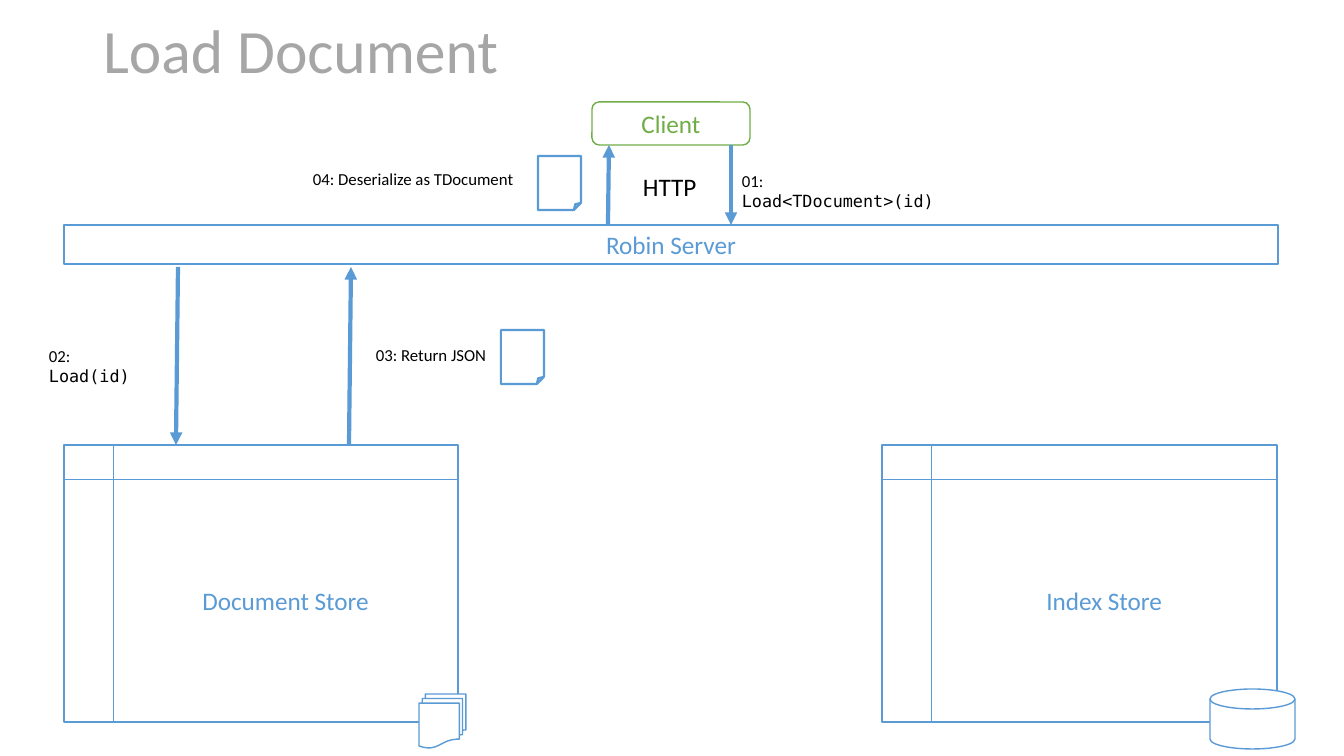
from lxml.etree import SubElement
from pptx import Presentation
from pptx.dml.color import RGBColor
from pptx.enum.shapes import MSO_CONNECTOR, MSO_SHAPE as SHAPE
from pptx.enum.text import MSO_ANCHOR, MSO_AUTO_SIZE as AUTO_SIZE, PP_ALIGN
from pptx.oxml.ns import qn
from pptx.util import Emu, Pt

PX = 914400 / 100.8
BLUE, GREEN, GREY, BLACK, WHITE = "5B9BD5", "70AD47", "A6A6A6", "000000", "FFFFFF"
SANS, MONO = "Calibri", "DejaVu Sans Mono"


def px(*lengths):
    return [Emu(round(n * PX)) for n in lengths]


def style_font(font, size, color, name=SANS):
    font.size, font.name = Pt(size), name
    font.color.rgb = RGBColor.from_string(color)


prs = Presentation()
prs.slide_width, prs.slide_height = px(1344, 756)
s = prs.slides.add_slide(prs.slide_layouts[5])

# Title
title = s.shapes.title
title.left, title.top, title.width, title.height = px(93, 23, 1159, 61)
tf = title.text_frame
tf.text = "Load Document"
tf.auto_size = AUTO_SIZE.NONE
tf.vertical_anchor = MSO_ANCHOR.MIDDLE
p = tf.paragraphs[0]
p.alignment, p.line_spacing = PP_ALIGN.LEFT, 0.9
style_font(p.font, 44, GREY)

# Boxes, stores and document icons
document_store = s.shapes.add_group_shape().shapes
index_store = s.shapes.add_group_shape().shapes
for parent, kind, box, text, color, weight in [
    (document_store, SHAPE.FLOWCHART_INTERNAL_STORAGE, (64, 445, 394, 277), "Document Store", BLUE, 1),
    (document_store, SHAPE.FLOWCHART_MULTIDOCUMENT, (419, 694, 47, 54), "", BLUE, 1),
    (index_store, SHAPE.FLOWCHART_INTERNAL_STORAGE, (882, 445, 395, 277), "Index Store", BLUE, 1),
    (index_store, SHAPE.FLOWCHART_MAGNETIC_DISK, (1210, 689, 85, 60), "", BLUE, 1),
    (s.shapes, SHAPE.FLOWCHART_ALTERNATE_PROCESS, (592, 102, 158, 43), "Client", GREEN, 1),
    (s.shapes, SHAPE.RECTANGLE, (64, 225, 1214, 39), "Robin Server", BLUE, 1),
    (s.shapes, SHAPE.FOLDED_CORNER, (501, 330, 43, 54), "", BLUE, 1.5),
    (s.shapes, SHAPE.FOLDED_CORNER, (538, 156, 43, 54), "", BLUE, 1.5),
]:
    sp = parent.add_shape(kind, *px(*box))
    sp.shadow.inherit = False
    sp.fill.solid()
    sp.fill.fore_color.rgb = RGBColor.from_string(WHITE)
    sp.line.color.rgb = RGBColor.from_string(color)
    sp.line.width = Pt(weight)
    if text:
        tf = sp.text_frame
        tf.text = text
        tf.vertical_anchor = MSO_ANCHOR.MIDDLE
        p = tf.paragraphs[0]
        p.alignment = PP_ALIGN.CENTER
        style_font(p.font, 18, color)

# Arrows
for ends in [
    (731, 145, 731, 225),
    (178, 267, 176, 445),
    (349, 445, 351, 267),
    (608, 225, 609, 145),
]:
    arrow = s.shapes.add_connector(MSO_CONNECTOR.STRAIGHT, *px(*ends))
    arrow.line.color.rgb = RGBColor.from_string(BLUE)
    arrow.line.width = Pt(3)
    SubElement(arrow.line._get_or_add_ln(), qn("a:tailEnd"), type="triangle")
    SubElement(arrow._element.spPr, qn("a:effectLst"))

# Labels: a call in the mono font wraps below its step number
for box, text, call, size in [
    ((732, 166, 224, 30), "01: ", "Load<TDocument>(id)", 12),
    ((39, 341, 121, 30), "02: ", "Load(id)", 12),
    ((366, 340, 132, 30), "03: Return JSON", "", 12),
    ((303, 164, 224, 30), "04: Deserialize as TDocument", "", 12),
    ((633, 166, 75, 40), "HTTP", "", 18),
]:
    tf = s.shapes.add_textbox(*px(*box)).text_frame
    tf.word_wrap = bool(call)
    tf.auto_size = AUTO_SIZE.SHAPE_TO_FIT_TEXT
    p = tf.paragraphs[0]
    for part, name in [(text, SANS), (call, MONO)]:
        if part:
            r = p.add_run()
            r.text = part
            style_font(r.font, size, BLACK, name)

prs.save("out.pptx")
